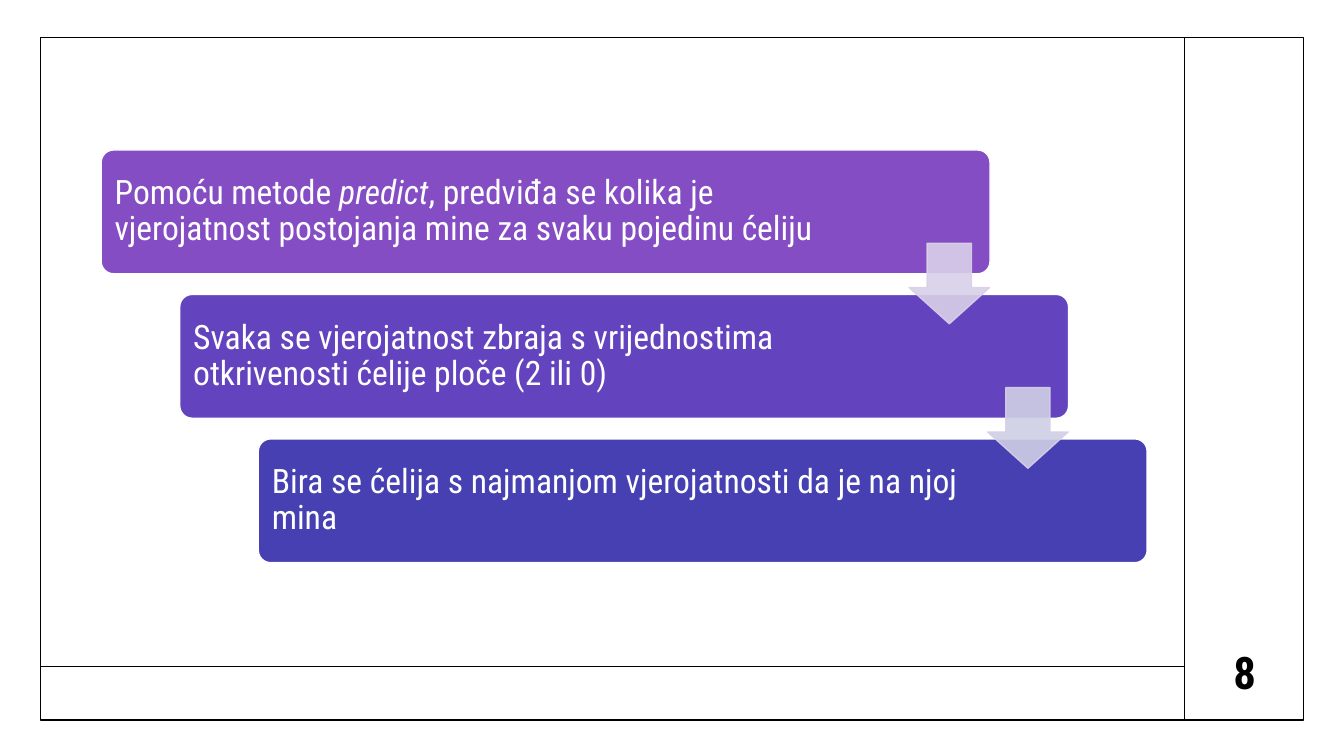
"""Build a slide with three cascading prediction steps joined by arrows."""
from lxml.etree import SubElement
from pptx import Presentation
from pptx.dml.color import RGBColor
from pptx.enum.shapes import MSO_CONNECTOR, MSO_SHAPE as Shape
from pptx.enum.text import MSO_ANCHOR, PP_ALIGN as Align
from pptx.oxml.ns import qn
from pptx.util import Cm, Pt

BLACK = RGBColor(0x00, 0x00, 0x00)
WHITE = RGBColor(0xFF, 0xFF, 0xFF)
PURPLE = RGBColor(0x85, 0x4D, 0xC3)
VIOLET = RGBColor(0x64, 0x44, 0xBE)
INDIGO = RGBColor(0x46, 0x40, 0xB3)
LILAC = RGBColor(0xD9, 0xD0, 0xE9)
LAVENDER = RGBColor(0xCF, 0xCF, 0xE5)
FONT = "Roboto Condensed"
STEP_X, STEP_Y = 1.98, 3.64

deck = Presentation()
deck.slide_width, deck.slide_height = Cm(33.87), Cm(19.05)
slide = deck.slides.add_slide(deck.slide_layouts[6])
shapes = slide.shapes


def add_text(runs, left, top, width, height, size=24, color=WHITE, bold=False,
             align=Align.LEFT, line_spacing=0.9, inset=0.25, tracking=0):
    """Place one paragraph of (words, italic) runs, centred vertically."""
    frame = shapes.add_textbox(Cm(left), Cm(top), Cm(width), Cm(height)).text_frame
    frame.word_wrap = True
    frame.vertical_anchor = MSO_ANCHOR.MIDDLE
    frame.margin_left = frame.margin_right = Cm(0.25)
    frame.margin_top = frame.margin_bottom = Cm(inset)
    paragraph = frame.paragraphs[0]
    paragraph.alignment = align
    paragraph.line_spacing = line_spacing
    for words, italic in runs:
        run = paragraph.add_run()
        run.text = words
        font = run.font
        font.name, font.size, font.bold, font.italic = FONT, Pt(size), bold, italic
        font.color.rgb = color
        if tracking:
            run._r.get_or_add_rPr().set("spc", str(tracking * 100))


def add_outlined(kind, left, top, width, height, line, fill=None, adjust=()):
    """Add a preset shape with a one-point outline and an optional fill."""
    shape = shapes.add_shape(kind, Cm(left), Cm(top), Cm(width), Cm(height))
    shape.shadow.inherit = False
    shape.line.color.rgb = line
    shape.line.width = Pt(1)
    if fill is None:
        shape.fill.background()
    else:
        shape.fill.solid()
        shape.fill.fore_color.rgb = fill
    for index, value in enumerate(adjust):
        shape.adjustments[index] = value
    return shape


add_outlined(Shape.RECTANGLE, 1.02, 0.94, 31.83, 17.2, BLACK)

steps = [
    (PURPLE, 19.02, [("Pomoću metode ", False), ("predict", True),
                     (", predviđa se kolika je vjerojatnost postojanja mine "
                      "za svaku pojedinu ćeliju", False)]),
    (VIOLET, 18.21, [("Svaka se vjerojatnost zbraja s vrijednostima "
                      "otkrivenosti ćelije ploče (2 ili 0)", False)]),
    (INDIGO, 18.21, [("Bira se ćelija s najmanjom vjerojatnosti da je na njoj mina",
                      False)]),
]
for position, (card_color, text_width, runs) in enumerate(steps):
    left, top = 2.55 + position * STEP_X, 3.78 + position * STEP_Y
    add_outlined(Shape.ROUNDED_RECTANGLE, left, top, 22.4, 3.12, WHITE, card_color, [0.1])
    add_text(runs, left + 0.09, top + 0.09, text_width, 2.94)

for position, arrow_color in enumerate([LILAC, LAVENDER]):
    arrow = add_outlined(Shape.DOWN_ARROW, 22.91 + position * STEP_X,
                         6.13 + position * STEP_Y, 2.03, 2.03,
                         LILAC, arrow_color, [0.55, 0.45])
    for tint in arrow._element.spPr.iter(qn("a:srgbClr")):
        SubElement(tint, qn("a:alpha")).set("val", "90000")

for x1, y1, x2, y2 in [(1.04, 16.79, 29.85, 16.79), (29.85, 0.94, 29.85, 18.11)]:
    divider = shapes.add_connector(MSO_CONNECTOR.STRAIGHT, Cm(x1), Cm(y1), Cm(x2), Cm(y2))
    divider.line.color.rgb = BLACK
    divider.line.width = Pt(1)
    SubElement(divider._element.spPr, qn("a:effectLst"))

add_text([("8", False)], 30.05, 16.33, 2.64, 1.17, size=32, color=BLACK, bold=True,
         align=Align.CENTER, line_spacing=1.0, inset=0.13, tracking=3)

deck.save("out.pptx")
